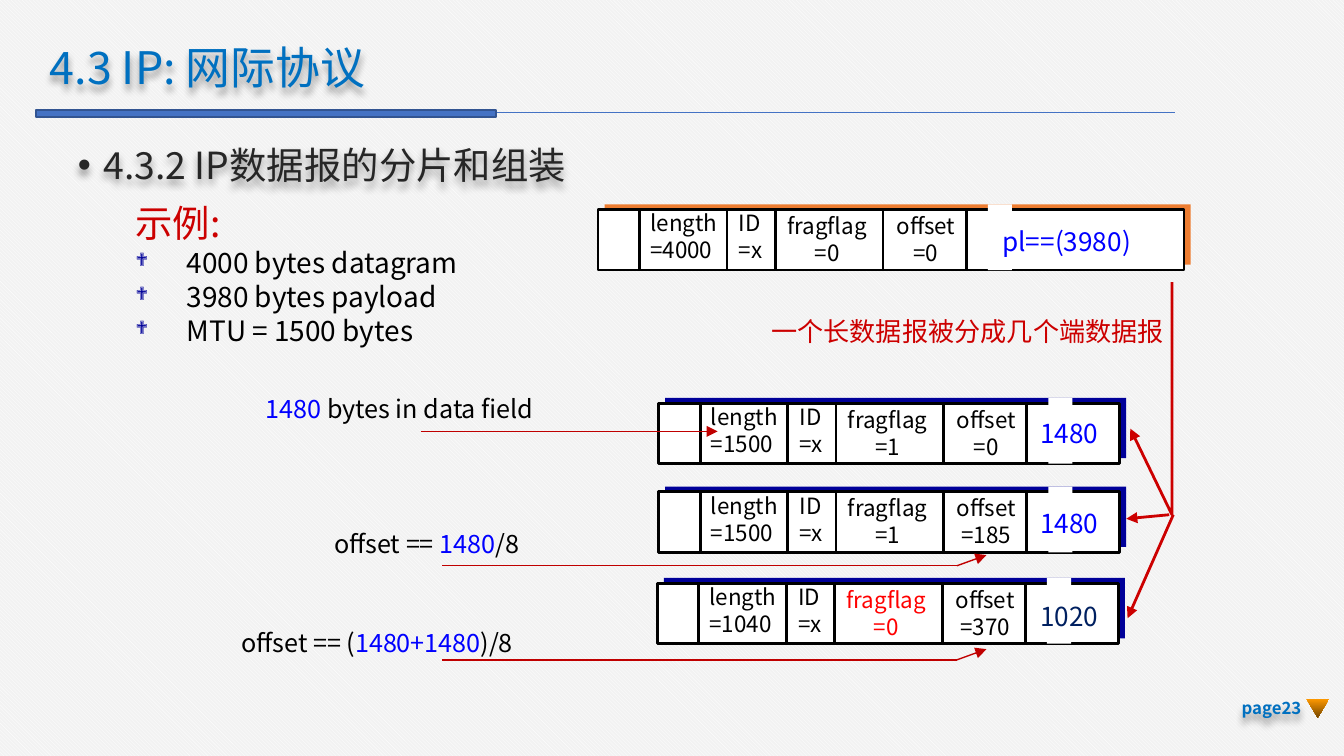
from lxml import etree
from pptx import Presentation
from pptx.dml.color import RGBColor
from pptx.enum.dml import MSO_PATTERN
from pptx.enum.shapes import MSO_CONNECTOR, MSO_SHAPE
from pptx.enum.text import MSO_ANCHOR, MSO_AUTO_SIZE, PP_ALIGN
from pptx.oxml import parse_xml
from pptx.oxml.ns import nsdecls, qn
from pptx.util import Inches, Pt

FONT = "Noto Sans CJK SC"
LEFT, CENTER, RIGHT = PP_ALIGN.LEFT, PP_ALIGN.CENTER, PP_ALIGN.RIGHT
MIDDLE = MSO_ANCHOR.MIDDLE
STRAIGHT = MSO_CONNECTOR.STRAIGHT
RECTANGLE = MSO_SHAPE.RECTANGLE
TRIANGLE = MSO_SHAPE.FLOWCHART_MERGE
DIAGONAL = MSO_PATTERN.DARK_DOWNWARD_DIAGONAL
NO_AUTOFIT = MSO_AUTO_SIZE.NONE
BLACK, WHITE, BLUE, NAVY = "000000", "FFFFFF", "0000FF", "000099"
RED, DARK_RED, TITLE_BLUE = "CC0000", "C00000", "0070C0"
color = RGBColor.from_string


def write(frame, lines, size, align=LEFT):
    """Fill a frame with lines, each a list of (text, colour) runs."""
    for i, parts in enumerate(lines):
        paragraph = frame.paragraphs[0] if i == 0 else frame.add_paragraph()
        paragraph.alignment = align
        for words, hue in parts:
            run = paragraph.add_run()
            run.text = words
            run.font.size = Pt(size)
            run.font.name = FONT
            run.font.color.rgb = color(hue)
            latin = run.font._element.find(qn("a:latin"))
            latin.addnext(parse_xml(f'<a:ea {nsdecls("a")} typeface="{FONT}"/>'))


def style_line(shape, hue, width, arrow=False):
    """Colour an outline, drop its shadow and give it an arrowhead if asked."""
    shape.line.color.rgb = color(hue)
    shape.line.width = Pt(width)
    properties = shape._element.spPr
    if arrow:
        etree.SubElement(properties.find(qn("a:ln")), qn("a:tailEnd"), type="triangle")
    if properties.find(qn("a:effectLst")) is None:
        etree.SubElement(properties, qn("a:effectLst"))


prs = Presentation()
prs.slide_width, prs.slide_height = Inches(10), Inches(5.625)
slide = prs.slides.add_slide(prs.slide_layouts[1])
shapes = slide.shapes
backdrop = slide.background.fill
backdrop.patterned()
backdrop.pattern = DIAGONAL
backdrop.fore_color.rgb = color(WHITE)
backdrop.back_color.rgb = color("F2F2F2")

# Title and its rule
title, body = shapes.title, slide.placeholders[1]
title.left, title.top, title.width, title.height = map(Inches, (0.27, 0.3, 4.34, 0.44))
title.text_frame.vertical_anchor = MIDDLE
title.text_frame.auto_size = NO_AUTOFIT
write(title.text_frame, [[("4.3 IP: 网际协议", TITLE_BLUE)]], 24)
title.text_frame.paragraphs[0].line_spacing = 0.9
rule = shapes.add_connector(STRAIGHT, Inches(8.74), Inches(0.84), Inches(0.27), Inches(0.84))
style_line(rule, "4472C4", 0.5)
bar = shapes.add_shape(RECTANGLE, Inches(0.27), Inches(0.82), Inches(3.42), Inches(0.05))
bar.fill.solid()
bar.fill.fore_color.rgb = color("4472C4")
style_line(bar, "325491", 1)

# Section heading
body.left, body.top, body.width, body.height = map(Inches, (0.51, 1.02, 9.06, 4.13))
heading = body.text_frame
heading.auto_size = NO_AUTOFIT
heading.margin_left = heading.margin_right = Inches(0.07)
heading.margin_top = heading.margin_bottom = Inches(0.04)
heading_properties = heading.paragraphs[0]._p.get_or_add_pPr()
heading_properties.set("marL", str(Inches(0.19)))
heading_properties.set("indent", str(-Inches(0.19)))
etree.SubElement(heading_properties, qn("a:buChar"), char="•")
write(heading, [[("4.3.2 IP数据报的分片和组装", "262626")]], 20)

# Datagrams: frame, edge colour, header fields, payload
datagrams = [
    (4.45, 1.56, 4.36, "ED7D31", 4000, 0, BLACK, 0, "pl==(3980)", BLUE, 7.36, 1.63, 1.26),
    (4.9, 3, 3.43, NAVY, 1500, 1, BLACK, 0, "1480", BLUE, 7.64, 3.06, 0.66),
    (4.9, 3.66, 3.43, NAVY, 1500, 1, BLACK, 185, "1480", BLUE, 7.64, 3.73, 0.66),
    (4.89, 4.34, 3.43, NAVY, 1040, 0, "FF0000", 370, "1020", "002060", 7.64, 4.42, 0.66),
]
for (left, top, width, edge, length, flag, flag_hue, offset,
     payload, payload_hue, payload_left, payload_top, payload_width) in datagrams:
    for x, y, w, h, hue in [(left + 0.05, top - 0.04, width, 0.45, edge),
                            (left, top, width, 0.45, WHITE),
                            (left + 2.9, top - 0.04, 0.18, 0.49, WHITE)]:
        box = shapes.add_shape(RECTANGLE, Inches(x), Inches(y), Inches(w), Inches(h))
        box.shadow.inherit = False
        box.fill.solid()
        box.fill.fore_color.rgb = color(hue)
        if x == left:
            style_line(box, BLACK, 1.5)
        else:
            box.line.fill.background()
    for x, drop in [(0.31, 0), (0.96, 0), (1.32, 0.01), (2.12, 0), (2.74, 0)]:
        divider = shapes.add_connector(STRAIGHT, Inches(left + x), Inches(top + drop),
                                       Inches(left + x), Inches(top + drop + 0.45))
        style_line(divider, BLACK, 1.5)
    for x, y, w, h, lines, hue, size, align in [
        (left + 0.29, top - 0.05, 0.72, 0.51, ["length", f"={length}"], BLACK, 12, LEFT),
        (left + 0.95, top - 0.05, 0.41, 0.51, ["ID", "=x"], BLACK, 12, LEFT),
        (left + 1.29, top - 0.03, 0.83, 0.51, ["fragflag", f"={flag}"], flag_hue, 12, CENTER),
        (left + 2.11, top - 0.03, 0.66, 0.51, ["offset", f"={offset}"], BLACK, 12, CENTER),
        (payload_left, payload_top, payload_width, 0.34, [payload], payload_hue, 14, LEFT),
    ]:
        field = shapes.add_textbox(Inches(x), Inches(y), Inches(w), Inches(h))
        field.text_frame.word_wrap = False
        write(field.text_frame, [[(line, hue)] for line in lines], size, align)

# Split of the long datagram into fragments
builder = shapes.build_freeform(Inches(8.72), Inches(2.1), scale=1.0)
builder.add_line_segments([(Inches(8.72), Inches(3.83)), (Inches(8.41), Inches(3.19))], close=False)
split = builder.convert_to_shape()
split.fill.background()
style_line(split, RED, 1.5, True)

# Arrows to the fragments and from the notes
for x1, y1, x2, y2, hue, width, arrow in [
    (8.7, 3.83, 8.38, 3.86, RED, 1.5, True),
    (8.73, 3.83, 8.39, 4.6, RED, 1.5, True),
    (3.13, 3.21, 5.34, 3.21, DARK_RED, 0.75, True),
    (7.12, 4.21, 3.29, 4.21, DARK_RED, 0.75, False),
    (7.12, 4.21, 7.34, 4.13, DARK_RED, 0.75, True),
    (7.12, 4.91, 3.29, 4.91, DARK_RED, 0.75, False),
    (7.12, 4.91, 7.34, 4.83, DARK_RED, 0.75, True),
]:
    pointer = shapes.add_connector(STRAIGHT, Inches(x1), Inches(y1), Inches(x2), Inches(y2))
    style_line(pointer, hue, width, arrow)

# Notes beside the datagrams
for x, y, w, h, size, parts in [
    (5.64, 2.3, 3.15, 0.34, 14, [("一个长数据报被分成几个端数据报", RED)]),
    (1.88, 2.88, 2.39, 0.33, 13.5, [("1480", BLUE), (" bytes in data field", BLACK)]),
    (2.39, 3.88, 1.8, 0.33, 13.5, [("offset == ", BLACK), ("1480", BLUE), ("/8", BLACK)]),
    (1.7, 4.62, 2.5, 0.33, 13.5, [("offset == (", BLACK), ("1480+1480", BLUE), (")/8", BLACK)]),
]:
    note = shapes.add_textbox(Inches(x), Inches(y), Inches(w), Inches(h))
    note.text_frame.word_wrap = True
    write(note.text_frame, [parts], size)

# Example list
example = shapes.add_textbox(Inches(0.91), Inches(1.49), Inches(3.09), Inches(1.19)).text_frame
example.word_wrap = True
write(example, [[("示例:", RED)]], 20)
example.paragraphs[0].line_spacing = 0.85
for fact in ["4000 bytes datagram", "3980 bytes payload", "MTU = 1500 bytes"]:
    item = example.add_paragraph()
    item_properties = item._p.get_or_add_pPr()
    item_properties.set("marL", str(Inches(0.38)))
    item_properties.set("indent", str(-Inches(0.38)))
    bullet_color = etree.SubElement(item_properties, qn("a:buClr"))
    etree.SubElement(bullet_color, qn("a:srgbClr"), val=NAVY)
    etree.SubElement(item_properties, qn("a:buSzPct"), val="65000")
    etree.SubElement(item_properties, qn("a:buFont"), typeface="Wingdings")
    etree.SubElement(item_properties, qn("a:buChar"), char="❖")
    item.line_spacing = 0.85
    item.space_before = Pt(3)
    item.text = fact
    item.runs[0].font.size = Pt(15)
    item.runs[0].font.name = FONT
    item.runs[0].font.color.rgb = color(BLACK)

# Page number and marker
page = shapes.add_textbox(Inches(9.09), Inches(5.12), Inches(0.69), Inches(0.3))
page.text_frame.word_wrap = True
page.text_frame.vertical_anchor = MIDDLE
write(page.text_frame, [[("page23", TITLE_BLUE)]], 9, RIGHT)
page.text_frame.paragraphs[0].runs[0].font.bold = True
marker = shapes.add_shape(TRIANGLE, Inches(9.72), Inches(5.2), Inches(0.17), Inches(0.14))
marker.shadow.inherit = False
marker.line.fill.background()
marker.fill.gradient()
marker.fill.gradient_angle = 270
for stop, hue in zip(marker.fill.gradient_stops, ["FF9900", "764700"]):
    stop.color.rgb = color(hue)

# Soft shadow under the title, heading and page number
for shaded in [title, body, page]:
    shaded._element.spPr.append(parse_xml(
        f'<a:effectLst {nsdecls("a")}><a:outerShdw blurRad="50800" dist="38100" dir="5400000">'
        '<a:srgbClr val="000000"><a:alpha val="40000"/></a:srgbClr></a:outerShdw></a:effectLst>'))

prs.save("out.pptx")
